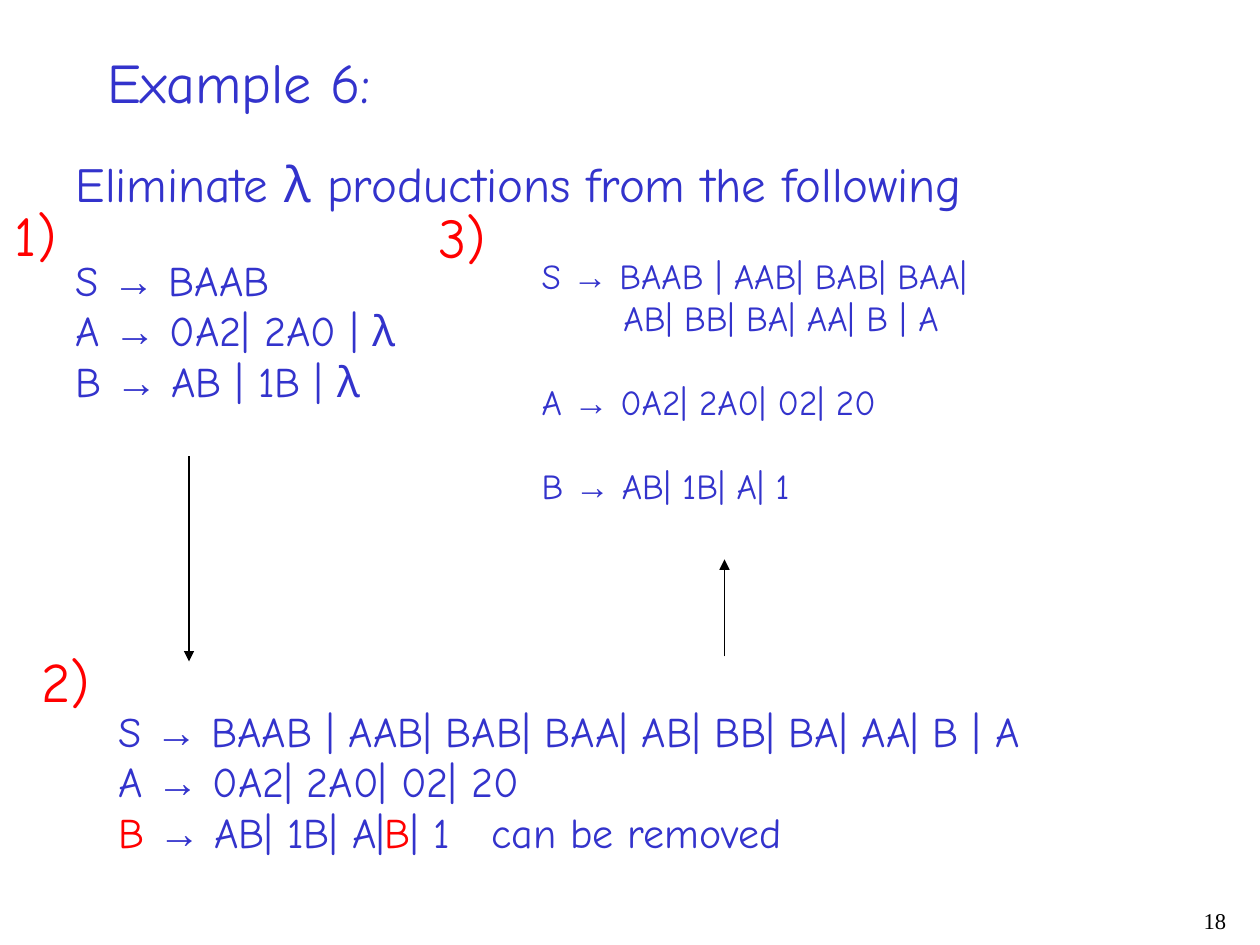
from pptx import Presentation
from pptx.dml.color import RGBColor
from pptx.enum.shapes import MSO_CONNECTOR
from pptx.enum.text import MSO_ANCHOR, MSO_AUTO_SIZE, PP_ALIGN
from pptx.util import Inches, Pt
from lxml.etree import SubElement
from pptx.oxml.ns import qn

BLUE = RGBColor(0x33, 0x33, 0xCC)
RED = RGBColor(0xFF, 0x00, 0x00)
BLACK = RGBColor(0x00, 0x00, 0x00)


def add_runs(paragraph, text, size, color=BLUE, font="Comic Neue"):
    """Add text run by run, with each arrow symbol in Arial."""
    before, arrow, after = text.partition("→")
    for part, name in ((before, font), (arrow, "Arial"), (after, font)):
        if part:
            run = paragraph.add_run()
            run.text = part
            run.font.name = name
            run.font.size = Pt(size)
            run.font.color.rgb = color


def add_text_box(left, top, width, height):
    """Add an unwrapped text box and return its text frame."""
    box = slide.shapes.add_textbox(Inches(left), Inches(top), Inches(width), Inches(height))
    box.text_frame.word_wrap = False
    return box.text_frame


presentation = Presentation()
presentation.slide_width = Inches(10)
presentation.slide_height = Inches(7.5)
slide = presentation.slides.add_slide(presentation.slide_layouts[1])

# Title and task statement
headings = [
    (slide.shapes.title, (0.75, 0.33, 8.5, 0.64), "Example 6:", 32),
    (slide.placeholders[1], (0.5, 1.17, 9.33, 0.57),
     "Eliminate λ productions from the following", 28),
]
for placeholder, place, text, size in headings:
    placeholder.left, placeholder.top, placeholder.width, placeholder.height = map(Inches, place)
    frame = placeholder.text_frame
    frame.auto_size = MSO_AUTO_SIZE.NONE
    frame.vertical_anchor = MSO_ANCHOR.TOP
    paragraph = frame.paragraphs[0]
    paragraph.alignment = PP_ALIGN.LEFT
    paragraph.space_before = Pt(0)
    properties = paragraph._p.get_or_add_pPr()
    properties.set("marL", "0")
    properties.set("indent", "0")
    SubElement(properties, qn("a:buNone"))
    add_runs(paragraph, text, size)

# Grammars: place, text size, gap between rules, rules
grammars = [
    ((0.5, 1.97, 2.8, 1.3), 24, 0,
     ["S → BAAB", "A → 0A2| 2A0 | λ", "B → AB | 1B | λ"]),
    ((0.84, 5.55, 7.35, 1.3), 24, 0,
     ["S → BAAB | AAB| BAB| BAA| AB| BB| BA| AA| B | A", "A → 0A2| 2A0| 02| 20"]),
    ((4.2, 1.97, 3.67, 2.1), 20, 24,
     ["S → BAAB | AAB| BAB| BAA|", "AB| BB| BA| AA| B | A",
      "A → 0A2| 2A0| 02| 20", "B → AB| 1B| A| 1"]),
]
frames = []
for place, size, gap, rules in grammars:
    frame = add_text_box(*place)
    frames.append(frame)
    for index, rule in enumerate(rules):
        paragraph = frame.paragraphs[0] if index == 0 else frame.add_paragraph()
        if "→" not in rule:
            # Continuation of the rule above
            paragraph._p.get_or_add_pPr().set("marL", str(Inches(0.65)))
        elif index and gap:
            paragraph.space_before = Pt(gap)
        add_runs(paragraph, rule, size)

# Unit rule of the second grammar, with its remark at a tab stop
paragraph = frames[1].add_paragraph()
tabs = SubElement(paragraph._p.get_or_add_pPr(), qn("a:tabLst"))
SubElement(tabs, qn("a:tab"), pos=str(Inches(2.96)), algn="l")
for text, color in [("B ", RED), ("→ AB| 1B| A|", BLUE), ("B", RED),
                    ("| 1\tcan be removed", BLUE)]:
    add_runs(paragraph, text, 24, color)

# Arrows between the steps
for x, start, end in [(1.5, 3.62, 5.25), (5.75, 5.21, 4.44)]:
    arrow = slide.shapes.add_connector(
        MSO_CONNECTOR.STRAIGHT, Inches(x), Inches(start), Inches(x), Inches(end))
    arrow.line.color.rgb = BLACK
    arrow.line.width = Pt(0.75)
    SubElement(arrow.line._get_or_add_ln(), qn("a:tailEnd"), type="triangle")
    SubElement(arrow._element.spPr, qn("a:effectLst"))

# Step numbers, in boxes wide enough to keep each on one line
for label, left, top in [("1)", 0.02, 1.54), ("2)", 0.23, 5.08), ("3)", 3.38, 1.56)]:
    frame = add_text_box(left, top, 0.62, 0.64)
    add_runs(frame.paragraphs[0], label, 32, RED)

# Slide number
frame = add_text_box(7.75, 7.17, 2.08, 0.33)
frame.word_wrap = True
paragraph = frame.paragraphs[0]
paragraph.alignment = PP_ALIGN.RIGHT
paragraph.line_spacing = 0.9
add_runs(paragraph, "18", 12.9, BLACK, "Times New Roman")

presentation.save("out.pptx")
